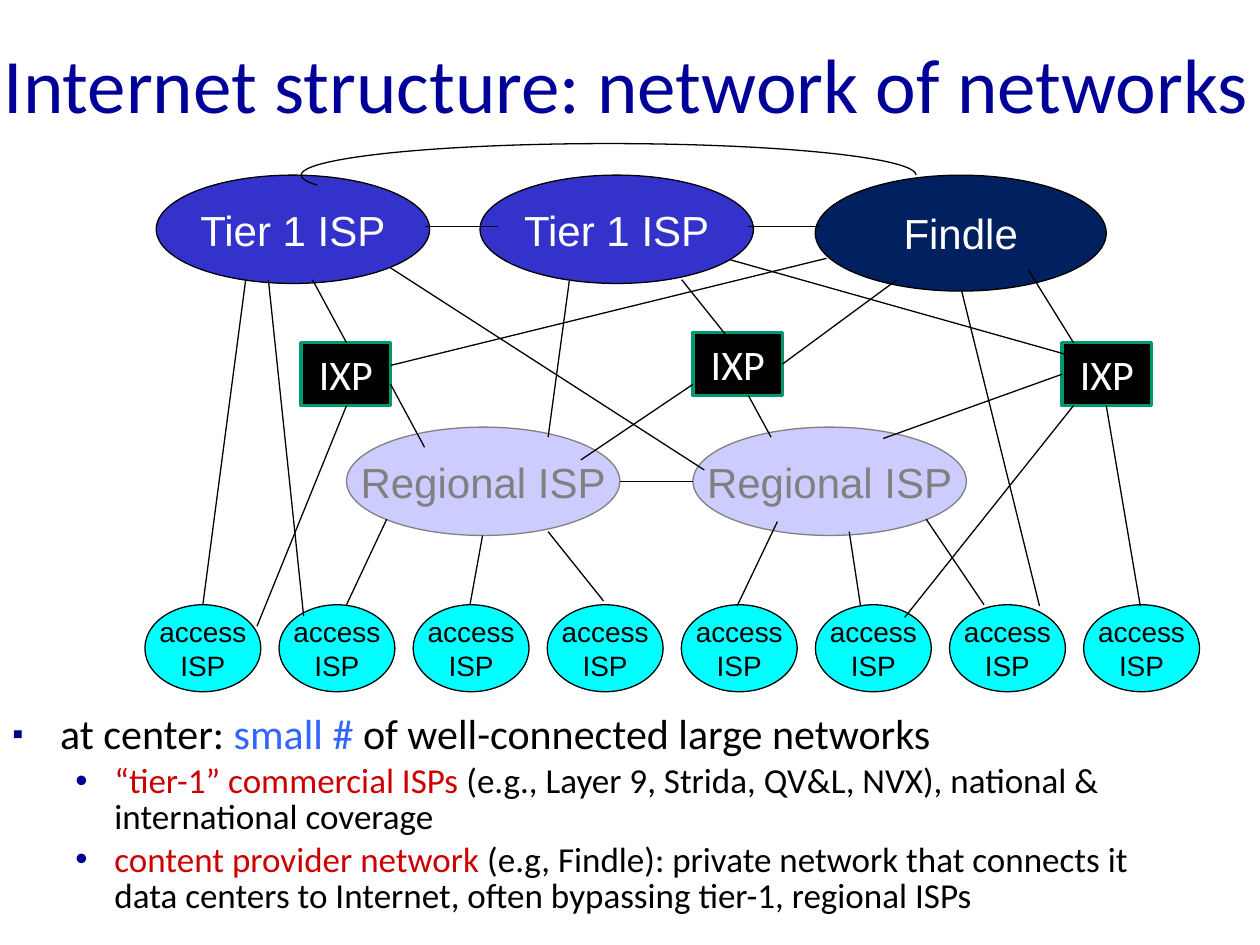
from lxml.etree import SubElement
from pptx import Presentation
from pptx.dml.color import RGBColor
from pptx.enum.shapes import MSO_CONNECTOR, MSO_SHAPE
from pptx.enum.text import MSO_ANCHOR, PP_ALIGN
from pptx.oxml.ns import qn
from pptx.util import Inches, Pt

BLACK = RGBColor(0x00, 0x00, 0x00)
WHITE = RGBColor(0xFF, 0xFF, 0xFF)
TITLE_BLUE = RGBColor(0x00, 0x00, 0x99)
BULLET_BLUE = RGBColor(0x00, 0x00, 0x90)
KEYWORD_BLUE = RGBColor(0x33, 0x66, 0xFF)
KEYWORD_RED = RGBColor(0xCC, 0x00, 0x00)
TIER1_BLUE = RGBColor(0x33, 0x33, 0xCC)
PROVIDER_NAVY = RGBColor(0x00, 0x20, 0x60)
REGIONAL_LILAC = RGBColor(0xCC, 0xCC, 0xFF)
REGIONAL_GRAY = RGBColor(0x80, 0x80, 0x80)
ACCESS_CYAN = RGBColor(0x00, 0xFF, 0xFF)
IXP_GREEN = RGBColor(0x00, 0x97, 0x71)

COLUMNS, ROWS = 100, 75
LABEL_FONT, TEXT_FONT = "Arial", "Calibri"


class NetworkSlide:
    """Places elements on a grid of 100 columns by 75 rows."""

    def __init__(self, deck):
        self.column = deck.slide_width / COLUMNS
        self.row = deck.slide_height / ROWS
        self.slide = deck.slides.add_slide(deck.slide_layouts[5])
        self.shapes = self.slide.shapes

    def place(self, left, top, width, height):
        return (round(left * self.column), round(top * self.row),
                round(width * self.column), round(height * self.row))

    def style(self, run, size, color, font):
        run.font.size, run.font.name = Pt(size), font
        run.font.color.rgb = color

    def title(self, wording, box):
        title = self.shapes.title
        title.left, title.top, title.width, title.height = self.place(*box)
        title.text_frame.text = wording
        title.text_frame.vertical_anchor = MSO_ANCHOR.MIDDLE
        heading = title.text_frame.paragraphs[0]
        heading.alignment = PP_ALIGN.LEFT
        self.style(heading.runs[0], 44, TITLE_BLUE, TEXT_FONT)

    def node(self, label, box, fill, text_color=WHITE, outline=BLACK,
             kind=MSO_SHAPE.OVAL, weight=0.75, size=24, font=LABEL_FONT):
        node = self.shapes.add_shape(kind, *self.place(*box))
        node.shadow.inherit = False
        node.fill.solid()
        node.fill.fore_color.rgb = fill
        node.line.color.rgb = outline
        node.line.width = Pt(weight)
        frame = node.text_frame
        frame.text = label
        frame.word_wrap = False
        frame.vertical_anchor = MSO_ANCHOR.MIDDLE
        for paragraph in frame.paragraphs:
            paragraph.alignment = PP_ALIGN.CENTER
            self.style(paragraph.runs[0], size, text_color, font)

    def link(self, x1, y1, x2, y2):
        start_x, start_y, end_x, end_y = self.place(x1, y1, x2, y2)
        link = self.shapes.add_connector(
            MSO_CONNECTOR.STRAIGHT, start_x, start_y, end_x, end_y)
        link.line.color.rgb = BLACK
        link.line.width = Pt(0.75)
        SubElement(link._element.spPr, qn("a:effectLst"))

    def arc(self, box, start, end):
        arc = self.shapes.add_shape(MSO_SHAPE.ARC, *self.place(*box))
        arc.adjustments[0], arc.adjustments[1] = start, end
        arc.shadow.inherit = False
        arc.fill.background()
        arc.line.color.rgb = BLACK
        arc.line.width = Pt(0.75)

    def bullet(self, paragraph, mark, margin, hanging, scale):
        properties = paragraph._p.get_or_add_pPr()
        properties.set("marL", str(Inches(margin)))
        properties.set("indent", str(-Inches(hanging)))
        color = SubElement(properties, qn("a:buClr"))
        SubElement(color, qn("a:srgbClr"), val=str(BULLET_BLUE))
        SubElement(properties, qn("a:buSzPct"), val=str(scale * 1000))
        SubElement(properties, qn("a:buFont"), typeface=LABEL_FONT)
        SubElement(properties, qn("a:buChar"), char=mark)

    def outline(self, points, box):
        """Writes (level, [(wording, color), ...]) points as a bullet list."""
        frame = self.shapes.add_textbox(*self.place(*box)).text_frame
        frame.word_wrap = True
        for index, (level, pieces) in enumerate(points):
            paragraph = frame.add_paragraph() if index else frame.paragraphs[0]
            paragraph.level = level
            size = (24, 20)[level]
            bullet = (("▪", 0.38, 0.38, 75), ("•", 0.81, 0.31, 100))[level]
            self.bullet(paragraph, *bullet)
            paragraph.line_spacing = 0.85
            if index:
                paragraph.space_before = Pt(size * 0.2)
            for wording, color in pieces:
                run = paragraph.add_run()
                run.text = wording
                self.style(run, size, color, TEXT_FONT)


ACCESS_COUNT = 8
ACCESS_FIRST, ACCESS_LAST = 11.5, 86
ACCESS_STEP = (ACCESS_LAST - ACCESS_FIRST) / (ACCESS_COUNT - 1)

PEERING_LINKS = [
    (39.5, 18, 33.7, 18), (65.2, 18, 59.4, 18), (55, 38.2, 49.2, 38.2),
]
LARGE_NETWORK_LINKS = [
    (19.5, 22.2, 16.1, 48), (21.3, 22.2, 24.1, 48.9),
    (24.8, 22.2, 27.5, 27.2), (30.9, 21.2, 55.9, 37.3),
    (45.2, 22.2, 43.5, 34.7), (54.1, 22.2, 58.5, 27.7),
    (57.9, 20.6, 84.5, 28.1), (65.6, 20.5, 31, 29),
    (71.2, 22.2, 62.1, 28.9), (76.3, 23, 82.5, 48.1),
    (81.6, 21.4, 85.2, 27.2),
]
IXP_LINKS = [
    (27.5, 32.2, 20.4, 49.7), (31, 30.5, 33.7, 35.5),
    (55, 30.5, 46.1, 36.5), (59.4, 31.4, 61.2, 34.7),
    (84.3, 29.7, 70.1, 34.8), (85.2, 32.2, 71.8, 49),
    (87.8, 32.2, 90.5, 48.1),
]
REGIONAL_LINKS = [
    (30.7, 41.2, 27.5, 48), (38.3, 42.5, 37.3, 48),
    (43.5, 42.2, 47.9, 47.7), (61.7, 41.4, 58.5, 48.1),
    (67.4, 42.2, 68.3, 48.1), (73.5, 41.2, 78.1, 48),
]
POINTS = [
    (0, [("at center: ", BLACK), ("small #", KEYWORD_BLUE),
         (" of well-connected large networks", BLACK)]),
    (1, [("“tier-1” commercial ISPs ", KEYWORD_RED),
         ("(e.g., Layer 9, Strida, QV&L, NVX), national & "
          "international coverage", BLACK)]),
    (1, [("content provider network ", KEYWORD_RED),
         ("(e.g, Findle): private network that connects it data centers "
          "to Internet, often bypassing tier-1, regional ISPs", BLACK)]),
]


def main():
    deck = Presentation()
    deck.slide_width, deck.slide_height = Inches(10), Inches(7.5)
    network = NetworkSlide(deck)
    network.title("Internet structure: network of networks",
                  (-0.7, 0.3, 108, 12.5))
    network.outline(POINTS, (0, 56.3, 92.3, 18))

    for index in range(ACCESS_COUNT):
        left = ACCESS_FIRST + index * ACCESS_STEP
        network.node("access\nISP", (left, 48, 9.2, 6.9), ACCESS_CYAN,
                     text_color=BLACK, size=16)
    for left in (27.5, 55):
        network.node("Regional ISP", (left, 33.9, 21.7, 8.6), REGIONAL_LILAC,
                     text_color=REGIONAL_GRAY, outline=REGIONAL_GRAY)
    for left, top in ((23.9, 27.2), (55, 26.4), (84.3, 27.2)):
        network.node("IXP", (left, top, 7.1, 5), BLACK, outline=IXP_GREEN,
                     kind=MSO_SHAPE.RECTANGLE, weight=2, font=TEXT_FONT)
    for left in (12.4, 38.1):
        network.node("Tier 1 ISP", (left, 13.9, 21.7, 8.6), TIER1_BLUE)
    network.node("Findle", (64.7, 13.9, 23.1, 9.2), PROVIDER_NAVY)

    network.arc((23.9, 11.4, 48.8, 5), 106.82, 0)
    for ends in PEERING_LINKS + LARGE_NETWORK_LINKS + IXP_LINKS + REGIONAL_LINKS:
        network.link(*ends)
    deck.save("out.pptx")


if __name__ == "__main__":
    main()
